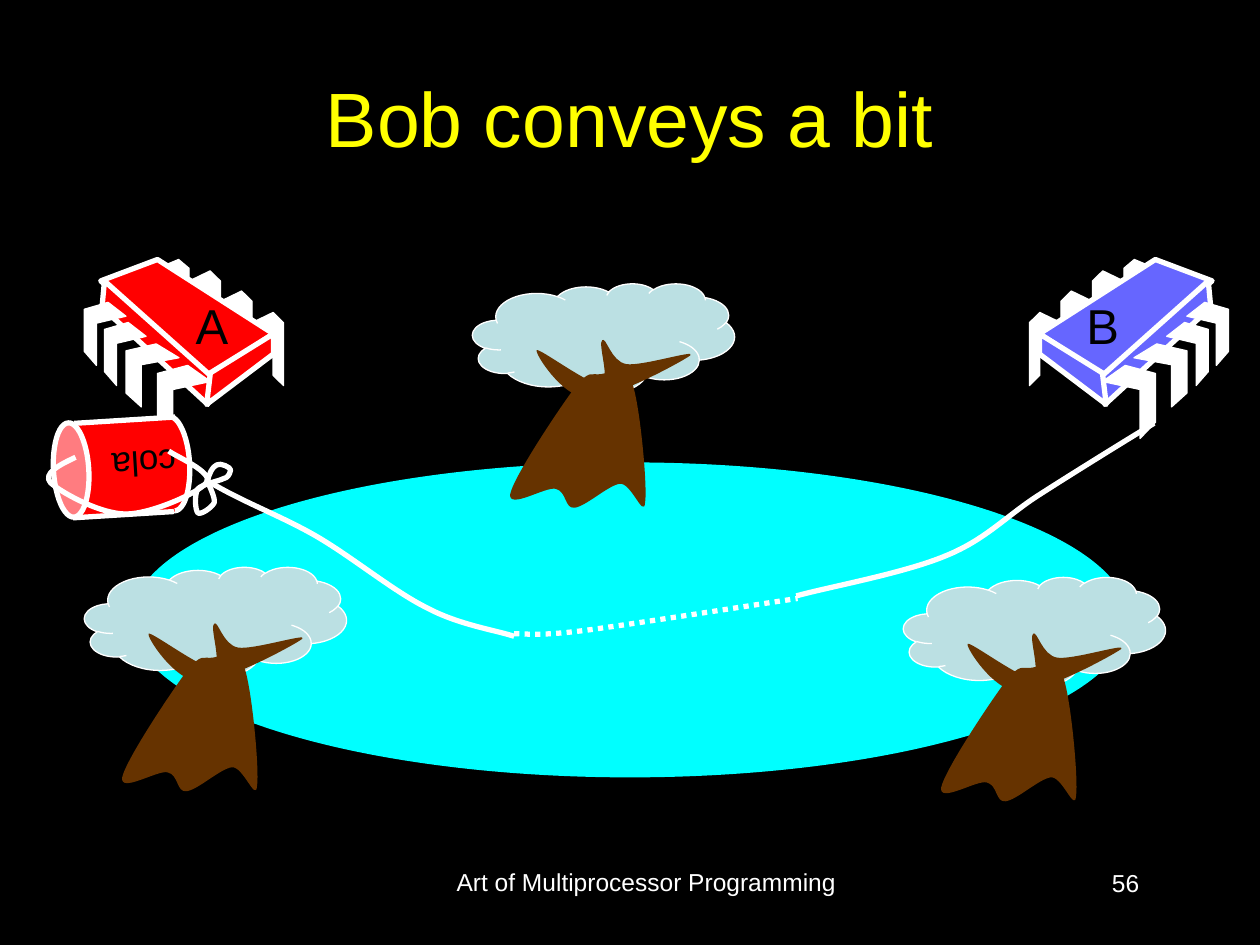
"""Builds the slide on which Bob conveys a bit by pulling a string tied to a can."""
from lxml.etree import SubElement
from pptx import Presentation
from pptx.dml.color import RGBColor
from pptx.enum.dml import MSO_LINE
from pptx.enum.shapes import MSO_CONNECTOR, MSO_SHAPE as Preset
from pptx.enum.text import MSO_ANCHOR as Anchor, PP_ALIGN as Align
from pptx.oxml.ns import qn
from pptx.util import Inches, Pt

WIDTH, HEIGHT = 10, 7.5
WHITE, BLACK, RED, BROWN = "FFFFFF", "000000", "FF0000", "663300"
FOAM, CYAN, YELLOW, PINK = "BBE0E3", "00FFFF", "FFFF00", "FF7C80"

LABELS = [
    ("56", (7.06, 6.84, 2.08, 0.5), dict(size=14, color=WHITE, align=Align.RIGHT)),
    ("Bob conveys a bit", (0.5, 0.3, 9, 1.25),
     dict(size=44, color=YELLOW, anchor=Anchor.MIDDLE)),
    ("A", (1.45, 2.3, 0.46, 0.57), dict(size=28, align=Align.RIGHT, wrap=False)),
    ("B", (8.52, 2.3, 0.46, 0.57), dict(size=28, align=Align.RIGHT, wrap=False)),
    ("Art of Multiprocessor Programming", (3.42, 6.83, 3.42, 0.52),
     dict(size=14, color=WHITE)),
]

REAR_PIN = [(0, 0.14), (0.67, 0), (1, 0.14), (1, 1), (0.67, 0.86), (0.67, 0.29), (0, 0.43)]
REAR_PLACES = [(2, 2.48, 0.25, 0.58), (1.75, 2.31, 0.25, 0.58),
               (1.5, 2.15, 0.25, 0.58), (1.25, 2.06, 0.25, 0.5)]
FRONT_PIN = [(0.57, 0), (1, 0.22), (0.29, 0.33), (0.29, 1), (0, 0.78), (0, 0.11)]
FRONT_PLACES = [(1.25, 2.9, 0.42, 0.58), (1, 2.73, 0.42, 0.5),
                (0.83, 2.56, 0.33, 0.5), (0.67, 2.4, 0.33, 0.5)]
CHIP_FACES = [
    [(1.25, 2.06), (2.17, 2.65), (1.65, 2.99), (0.8, 2.23)],
    [(0.83, 2.23), (1.67, 2.98), (1.65, 3.21), (0.81, 2.44)],
    [(2.17, 2.65), (2.17, 2.81), (1.64, 3.21), (1.67, 2.96)],
]
CHIPS = [(RED, False), ("6666FF", True)]
CHIP_SPAN = 10.42

TREES = [(3.75, 2.25), (7.17, 4.58), (0.67, 4.5)]
TRUNK = [(0.81, 0.83), (0.93, 0.68), (0.94, 0.73), (1.02, 0.72), (1.09, 0.71), (1.21, 0.63),
         (1.27, 0.8), (1.33, 0.97), (1.39, 1.61), (1.37, 1.74), (1.36, 1.87), (1.26, 1.58),
         (1.17, 1.59), (1.08, 1.6), (0.9, 1.77), (0.81, 1.78), (0.73, 1.79), (0.75, 1.65),
         (0.66, 1.63), (0.58, 1.61), (0.28, 1.8), (0.3, 1.67), (0.33, 1.53), (0.69, 0.99),
         (0.81, 0.83)]
BRANCHES = [(0.51, 0.53), (0.49, 0.55), (0.71, 0.9), (0.91, 0.91), (1.12, 0.92), (1.68, 0.61),
            (1.73, 0.57), (1.78, 0.52), (1.34, 0.66), (1.22, 0.64), (1.1, 0.62), (1.06, 0.42),
            (1.03, 0.45), (0.99, 0.47), (1.1, 0.78), (1.02, 0.8), (0.93, 0.81), (0.53, 0.51),
            (0.51, 0.53)]

CAN_TILT = 266.5
CAN_EDGES = [((0.58, 4.11), (1.38, 4.06)), ((0.59, 3.36), (1.39, 3.31))]
CAN_PARTS = [(Preset.OVAL, (0.99, 3.54, 0.75, 0.28), RED, WHITE),
             (Preset.RECTANGLE, (0.59, 3.31, 0.75, 0.8), RED, None),
             (Preset.OVAL, (0.19, 3.59, 0.75, 0.28), PINK, WHITE)]
BOW = [(1.65, 3.82), (1.65, 3.77), (1.69, 3.7), (1.72, 3.69), (1.75, 3.67), (1.83, 3.71),
       (1.83, 3.73), (1.82, 3.77), (1.81, 3.79), (1.77, 3.8), (1.73, 3.82), (1.61, 3.84),
       (1.57, 3.88), (1.54, 3.93), (1.55, 4.05), (1.57, 4.07), (1.59, 4.09), (1.68, 4.03),
       (1.7, 3.99), (1.71, 3.95), (1.66, 3.86), (1.65, 3.82)]
LOOP = [(0.6, 3.63), (0.47, 3.69), (0.34, 3.76), (0.4, 3.83), (0.47, 3.9), (0.79, 4.08),
        (1, 4.08), (1.2, 4.08), (1.58, 3.91), (1.64, 3.83), (1.7, 3.75), (1.39, 3.62),
        (1.34, 3.58)]
STRINGS = [
    ([(1.67, 3.83), (1.94, 3.99), (2.22, 4.09), (2.5, 4.25), (2.78, 4.41), (3.12, 4.69),
      (3.38, 4.82), (3.64, 4.96), (3.93, 5), (4.08, 5.05)], None),
    ([(9.16, 3.36), (9.01, 3.45), (8.54, 3.74), (8.26, 3.92), (7.99, 4.09), (7.83, 4.28),
      (7.51, 4.41), (7.18, 4.55), (6.57, 4.66), (6.32, 4.73)], None),
    ([(4.08, 5.03), (4.18, 5.03), (4.29, 5.05), (4.67, 5), (5.04, 4.95), (6.06, 4.79),
      (6.33, 4.75)], MSO_LINE.ROUND_DOT),
]


def rgb(code):
    return RGBColor.from_string(code)


def paint(shape, fill=None, line=None, weight=3, dash=None):
    shape.shadow.inherit = False
    if fill:
        shape.fill.solid()
        shape.fill.fore_color.rgb = rgb(fill)
    else:
        shape.fill.background()
    if line:
        shape.line.color.rgb = rgb(line)
        shape.line.width = Pt(weight)
        if dash:
            shape.line.dash_style = dash
    else:
        shape.line.fill.background()
    return shape


def preset(parent, kind, place, tilt=0, **look):
    shape = parent.add_shape(kind, *map(Inches, place))
    shape.rotation = tilt
    return paint(shape, **look)


def outline(parent, points, close=True, curved=False, **look):
    start, *rest = [(Inches(x), Inches(y)) for x, y in points]
    builder = parent.build_freeform(*start)
    builder.add_line_segments(rest, close=close)
    shape = builder.convert_to_shape()
    if curved:
        bend(shape)
    return paint(shape, **look)


def bend(shape):
    """Turn each three line segments into one cubic curve."""
    route = shape._element.xpath(".//a:path")[0]
    segments = route.findall(qn("a:lnTo"))
    for first in range(0, len(segments), 3):
        curve = SubElement(route, qn("a:cubicBezTo"))
        segments[first].addprevious(curve)
        for segment in segments[first:first + 3]:
            curve.append(segment[0])
            route.remove(segment)


def write(parent, text, place, size=14, color=BLACK, align=Align.CENTER,
          anchor=Anchor.TOP, wrap=True, tilt=0):
    box = parent.add_textbox(*map(Inches, place))
    box.rotation = tilt
    frame = box.text_frame
    frame.word_wrap = wrap
    frame.vertical_anchor = anchor
    paragraph = frame.paragraphs[0]
    paragraph.alignment = align
    run = paragraph.add_run()
    run.text = text
    run.font.name, run.font.size, run.font.color.rgb = "Arial", Pt(size), rgb(color)


def draw_chip(slide, color, mirrored):
    chip = slide.shapes.add_group_shape().shapes

    def part(points, **look):
        placed = [(CHIP_SPAN - x if mirrored else x, y) for x, y in points]
        outline(chip, placed, line=WHITE, **look)

    def pins(unit, places):
        for left, top, width, height in places:
            part([(left + x * width, top + y * height) for x, y in unit],
                 fill=WHITE, weight=0.75)

    pins(REAR_PIN, REAR_PLACES)
    for face in CHIP_FACES:
        part(face, fill=color)
    pins(FRONT_PIN, FRONT_PLACES)


def draw_tree(slide, left, top):
    tree = slide.shapes.add_group_shape().shapes
    crown = preset(tree, Preset.CLOUD_CALLOUT, (left, top, 2.08, 0.87),
                   fill=FOAM, line=WHITE, weight=0.75)
    crown.adjustments[0], crown.adjustments[1] = 0.018, 0.493
    for wood in (TRUNK, BRANCHES):
        outline(tree, [(left + x, top + y) for x, y in wood], curved=True, fill=BROWN)


def draw_can(slide):
    can = slide.shapes.add_group_shape().shapes
    for kind, place, fill, line in CAN_PARTS:
        preset(can, kind, place, CAN_TILT, fill=fill, line=line)
    for start, end in CAN_EDGES:
        edge = can.add_connector(MSO_CONNECTOR.STRAIGHT, *map(Inches, start + end))
        edge.line.color.rgb, edge.line.width = rgb(WHITE), Pt(3)
        SubElement(edge._element.spPr, qn("a:effectLst"))
    write(can, "cola", (0.79, 3.47, 0.72, 0.44), size=20, align=Align.RIGHT,
          wrap=False, tilt=CAN_TILT - 90)
    knot = slide.shapes.add_group_shape().shapes
    outline(knot, BOW, curved=True, line=WHITE)
    outline(knot, LOOP, close=False, curved=True, line=WHITE)


def main():
    deck = Presentation()
    deck.slide_width, deck.slide_height = Inches(WIDTH), Inches(HEIGHT)
    slide = deck.slides.add_slide(deck.slide_layouts[6])
    slide.background.fill.solid()
    slide.background.fill.fore_color.rgb = rgb(BLACK)
    for color, mirrored in CHIPS:
        draw_chip(slide, color, mirrored)
    preset(slide.shapes, Preset.OVAL, (1.04, 3.67, 7.92, 2.5), fill=CYAN)
    for text, place, style in LABELS:
        write(slide.shapes, text, place, **style)
    for left, top in TREES:
        draw_tree(slide, left, top)
    draw_can(slide)
    for points, dash in STRINGS:
        outline(slide.shapes, points, close=False, curved=True, line=WHITE, dash=dash)
    deck.save("out.pptx")


if __name__ == "__main__":
    main()
